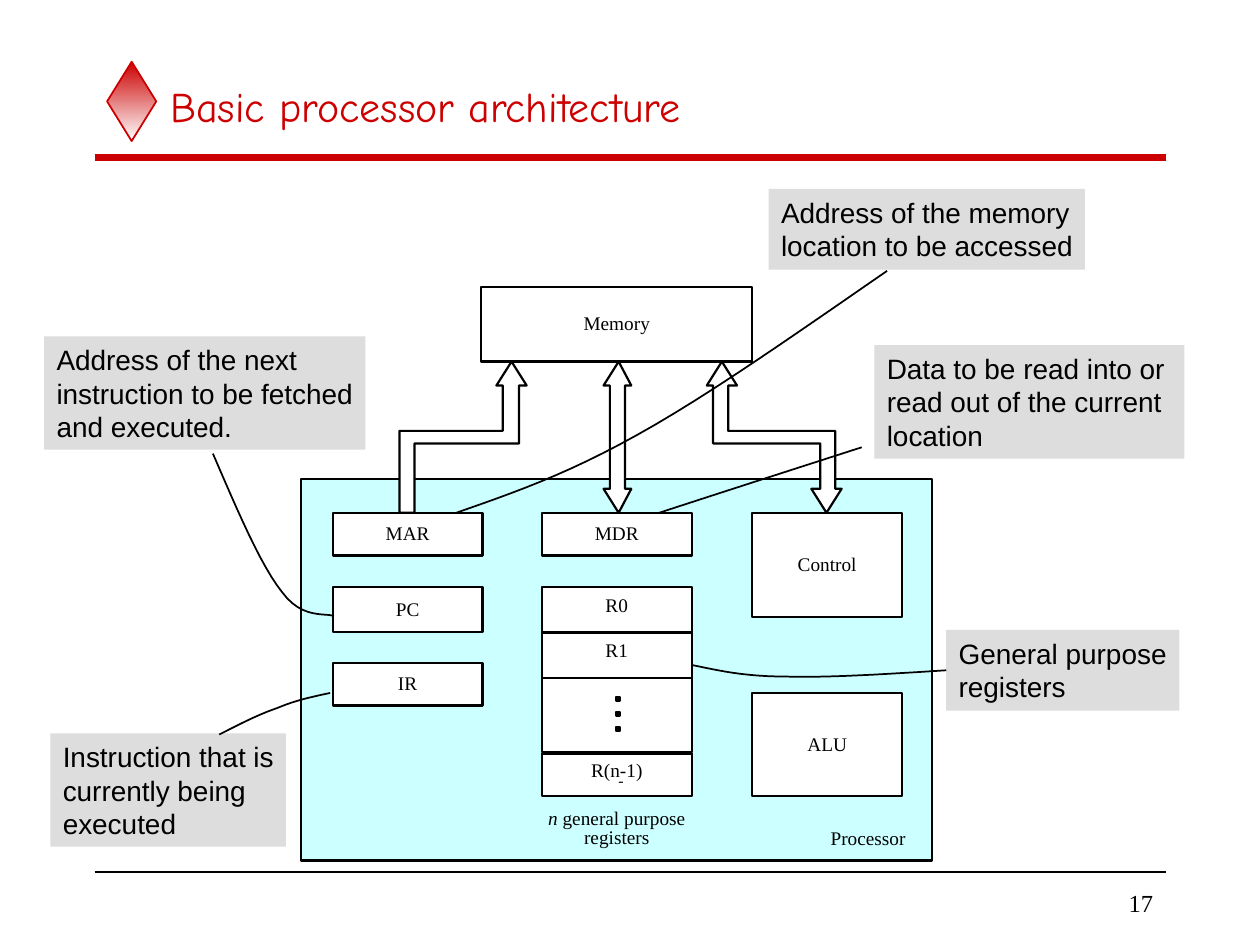
import pptx
import pptx.util
import pptx.dml.color
import pptx.enum.shapes
import pptx.enum.text
import pptx.oxml
from dataclasses import dataclass
from pptx.util import Inches


@dataclass(frozen=True)
class Theme:
    red: str = "CC0000"
    ink: str = "000000"
    paper: str = "FFFFFF"
    chip: str = "CCFFFF"
    note: str = "DDDDDD"
    title_font: str = "Comic Neue"
    label_font: str = "Times New Roman"
    note_font: str = "Arial"
    title_size: float = 24
    note_size: float = 16
    page_size: float = 14
    label_size: float = 11
    small_size: float = 9


theme = Theme()
rgb = pptx.dml.color.RGBColor.from_string
kinds = pptx.enum.shapes.MSO_SHAPE
align = pptx.enum.text.PP_ALIGN
anchor = pptx.enum.text.MSO_ANCHOR


def paint(shape, fill=None, line=None, width=1.25):
    shape.shadow.inherit = False
    if fill:
        shape.fill.solid()
        shape.fill.fore_color.rgb = rgb(fill)
    else:
        shape.fill.background()
    if line:
        shape.line.color.rgb = rgb(line)
        shape.line.width = pptx.util.Pt(width)
    else:
        shape.line.fill.background()


def write(shape, lines, font=theme.label_font, size=theme.label_size, color=theme.ink,
          alignment=align.CENTER, vertical=anchor.MIDDLE, insets=(0, 0, 0, 0), wrap=True):
    frame = shape.text_frame
    frame.word_wrap = wrap
    frame.vertical_anchor = vertical
    frame.margin_left, frame.margin_top, frame.margin_right, frame.margin_bottom = map(Inches, insets)
    for index, runs in enumerate(lines):
        paragraph = frame.add_paragraph() if index else frame.paragraphs[0]
        paragraph.alignment = alignment
        for words, italic in runs:
            run = paragraph.add_run()
            run.text = words
            run.font.name = font
            run.font.size = pptx.util.Pt(size)
            run.font.italic = italic
            run.font.color.rgb = rgb(color)


deck = pptx.Presentation()
deck.slide_width, deck.slide_height = Inches(10), Inches(7.5)
slide = deck.slides.add_slide(deck.slide_layouts[5])
shapes = slide.shapes
padding = (0.1, 0.05, 0.1, 0.05)

title = shapes.title
title.left, title.top, title.width, title.height = map(Inches, (1.25, 0.5, 8, 0.67))
write(title, [[("Basic processor architecture", False)]], theme.title_font, theme.title_size,
      theme.red, align.LEFT, insets=padding)

diamond = shapes.add_shape(kinds.DIAMOND, *map(Inches, (0.85, 0.49, 0.39, 0.63)))
paint(diamond, line=theme.red, width=1)
diamond.fill.gradient()
diamond.fill.gradient_angle = 270
for stop, color in zip(diamond.fill.gradient_stops, (theme.red, theme.paper)):
    stop.color.rgb = rgb(color)

for y, color, width in ((1.25, theme.red, 4), (6.92, theme.ink, 1)):
    rule = shapes.add_connector(pptx.enum.shapes.MSO_CONNECTOR.STRAIGHT,
                                Inches(0.75), Inches(y), Inches(9.25), Inches(y))
    rule.line.color.rgb = rgb(color)
    rule.line.width = pptx.util.Pt(width)
    rule._element.spPr.append(pptx.oxml.parse_xml(
        '<a:effectLst xmlns:a="http://schemas.openxmlformats.org/drawingml/2006/main"/>'))

page_number = shapes.add_textbox(*map(Inches, (7.83, 7, 1.42, 0.33)))
write(page_number, [[("17", False)]], size=theme.page_size, alignment=align.RIGHT, insets=padding)

processor = shapes.add_shape(kinds.RECTANGLE, *map(Inches, (2.39, 3.8, 5.01, 3.03)))
paint(processor, theme.chip, theme.ink)

buses = [
    [(3.29, 4.07), (3.29, 3.52), (4.12, 3.52), (4.12, 3.06), (4.18, 3.06), (4.06, 2.87),
     (3.94, 3.06), (3.99, 3.06), (3.99, 3.42), (3.17, 3.42), (3.17, 4.07)],
    [(4.96, 3.06), (5.01, 3.06), (4.91, 2.87), (4.79, 3.06), (4.84, 3.06),
     (4.84, 3.88), (4.79, 3.88), (4.91, 4.07), (5.01, 3.88), (4.96, 3.88)],
    [(6.63, 3.42), (6.63, 3.88), (6.68, 3.88), (6.56, 4.07), (6.44, 3.88), (6.51, 3.88),
     (6.51, 3.52), (5.66, 3.52), (5.66, 3.06), (5.61, 3.06), (5.73, 2.87), (5.85, 3.06),
     (5.78, 3.06), (5.78, 3.42)],
]
for corners in buses:
    points = [(Inches(x), Inches(y)) for x, y in corners]
    builder = shapes.build_freeform(*points[0])
    builder.add_line_segments(points[1:], close=True)
    paint(builder.convert_to_shape(), theme.paper, theme.ink)

left_column, middle_column, right_column = 2.64, 4.3, 5.97
unit_width = 1.19
units = [
    ("Memory", 3.82, 2.28, 2.15, 0.59, 0.02),
    ("MAR", left_column, 4.07, unit_width, 0.34, 0.02),
    ("PC", left_column, 4.66, unit_width, 0.36, 0.02),
    ("IR", left_column, 5.26, unit_width, 0.34, 0.02),
    ("MDR", middle_column, 4.07, unit_width, 0.34, 0.02),
    ("R0", middle_column, 4.66, unit_width, 0.36, 0.08),
    ("R1", middle_column, 5.02, unit_width, 0.36, 0.08),
    ("", middle_column, 5.38, unit_width, 0.59, 0),
    ("R(n-1)", middle_column, 5.98, unit_width, 0.34, 0.08),
    ("Control", right_column, 4.07, unit_width, 0.83, 0.02),
    ("ALU", right_column, 5.5, unit_width, 0.82, 0.02),
]
for name, x, y, width, height, lift in units:
    unit = shapes.add_shape(kinds.RECTANGLE, *map(Inches, (x, y, width, height)))
    paint(unit, theme.paper, theme.ink)
    if name:
        write(unit, [[(name, False)]], insets=(0, 0, 0, lift))

for index in range(3):
    dot = shapes.add_shape(kinds.RECTANGLE, Inches(4.89), Inches(5.53 + 0.12 * index),
                           Inches(0.03), Inches(0.03))
    paint(dot, theme.ink, theme.ink)

captions = [
    ([[("-", False)]], 4.86, 6.12, 0.14, 0.15, theme.small_size),
    ([[("Processor", False)]], 6.54, 6.56, 0.7, 0.18, theme.label_size),
    ([[("n", True), (" general purpose", False)], [("registers", False)]],
     4.2, 6.4, 1.39, 0.33, theme.label_size),
]
for lines, x, y, width, height, size in captions:
    caption = shapes.add_textbox(*map(Inches, (x, y, width, height)))
    write(caption, lines, size=size, vertical=anchor.TOP)
    for paragraph in caption.text_frame.paragraphs[1:]:
        paragraph.line_spacing = pptx.util.Pt(theme.label_size)

notes = [
    (("Address of the memory", "location to be accessed"), 6.1, 1.5, 2.51, 0.64),
    (("Address of the next", "instruction to be fetched", "and executed."), 0.35, 2.67, 2.55, 0.9),
    (("Instruction that is", "currently being", "executed"), 0.4, 5.82, 1.87, 0.9),
    (("Data to be read into or", "read out of the current", "location"), 6.94, 2.74, 2.46, 0.9),
    (("General purpose", "registers"), 7.51, 5, 1.85, 0.64),
]
for lines, x, y, width, height in notes:
    note = shapes.add_shape(kinds.RECTANGLE, *map(Inches, (x, y, width, height)))
    paint(note, theme.note)
    write(note, [[(line, False)] for line in lines], theme.note_font, theme.note_size,
          alignment=align.LEFT, vertical=anchor.TOP, insets=padding, wrap=False)

leaders = [
    [(1.74, 5.83), (1.9, 5.75), (2.05, 5.67), (2.2, 5.62), (2.34, 5.56), (2.48, 5.53), (2.62, 5.5)],
    [(1.69, 3.6), (1.88, 4.04), (2.07, 4.49), (2.24, 4.7), (2.4, 4.92), (2.59, 4.86), (2.65, 4.89)],
    [(7.04, 2.15), (6.33, 2.64), (5.62, 3.14), (5.06, 3.45), (4.49, 3.77), (4.05, 3.92), (3.62, 4.07)],
    [(6.84, 3.55), (6.84, 3.55), (6.03, 3.81), (5.23, 4.07)],
    [(7.51, 5.32), (7.04, 5.35), (6.57, 5.38), (6.24, 5.37), (5.9, 5.37), (5.7, 5.32), (5.5, 5.28)],
]
steps = 12
for knots in leaders:
    points = []
    for first in range(0, len(knots) - 1, 3):
        for step in range(1, steps + 1):
            t = step / steps
            weights = ((1 - t) ** 3, 3 * t * (1 - t) ** 2, 3 * t * t * (1 - t), t ** 3)
            points.append(tuple(
                Inches(sum(w * knot[axis] for w, knot in zip(weights, knots[first:first + 4])))
                for axis in (0, 1)))
    builder = shapes.build_freeform(*map(Inches, knots[0]))
    builder.add_line_segments(points, close=False)
    paint(builder.convert_to_shape(), line=theme.ink, width=1)

deck.save("out.pptx")
